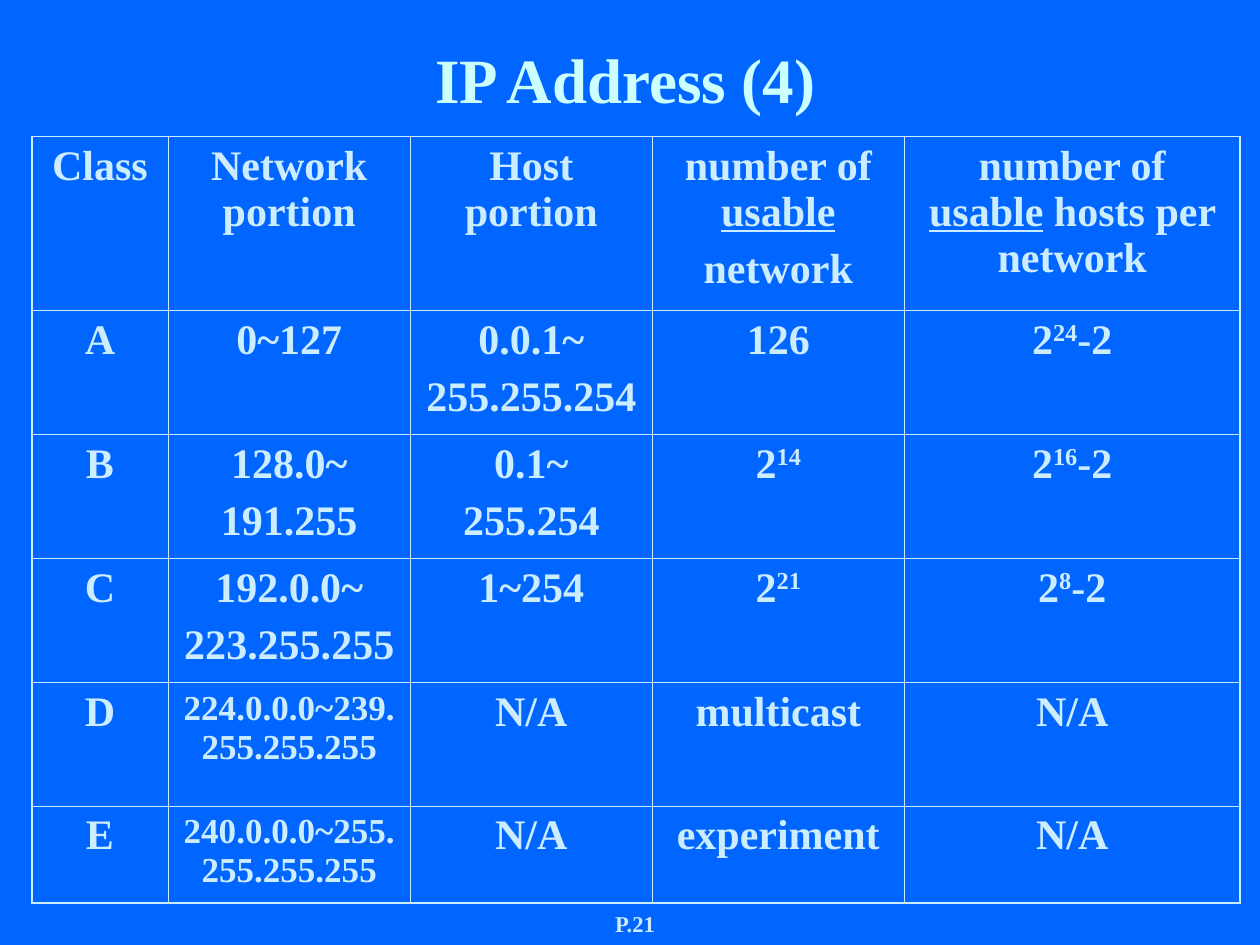
from lxml.etree import SubElement
from pptx import Presentation
from pptx.dml.color import RGBColor as Rgb
from pptx.enum.text import MSO_ANCHOR as Anchor, PP_ALIGN as Align
from pptx.oxml.ns import qn
from pptx.util import Cm, Pt

COLORS = {"background": "0066FF", "title": "CCFFFF", "text": "CCECFF"}
FONT = "Times New Roman"
INNER, OUTER = Pt(0.45), Pt(1.08)
COLUMN_WIDTHS = [2.75, 4.88, 4.88, 5.08, 6.77]
ROW_HEIGHTS = [3.51] + [2.49] * 4 + [1.95]
SMALL_COLUMN, SMALL_CLASSES = 1, ("D", "E")

# "|" parts runs, "_" underlines a run, "^" raises it
ADDRESS_CLASSES = [
    ["Class", "Network portion", "Host portion",
     "number of |_usable\nnetwork", "number of |_usable| hosts per network"],
    ["A", "0~127", "0.0.1~\n255.255.254", "126", "2|^24|-2"],
    ["B", "128.0~\n191.255", "0.1~\n255.254", "2|^14", "2|^16|-2"],
    ["C", "192.0.0~\n223.255.255", "1~254", "2|^21", "2|^8|-2"],
    ["D", "224.0.0.0~239.255.255.255", "N/A", "multicast", "N/A"],
    ["E", "240.0.0.0~255.255.255.255", "N/A", "experiment", "N/A"],
]


def write(frame, content, size, color="text", before=0):
    """Fill a text frame with centred bold paragraphs."""
    frame.word_wrap = True
    for index, line in enumerate(content.split("\n")):
        paragraph = frame.add_paragraph() if index else frame.paragraphs[0]
        paragraph.alignment = Align.CENTER
        paragraph.space_before = Pt(before)
        for part in line.split("|"):
            run = paragraph.add_run()
            run.text = part.lstrip("_^")
            style = {"name": FONT, "size": Pt(size), "bold": True}
            if part.startswith("_"):
                style["underline"] = True
            for key, value in style.items():
                setattr(run.font, key, value)
            run.font.color.rgb = Rgb.from_string(COLORS[color])
            if part.startswith("^"):
                run.font._element.set("baseline", "30000")


def add_label(slide, box, content, size, color, frame_format):
    label = slide.shapes.add_textbox(*map(Cm, box)).text_frame
    for key, value in frame_format.items():
        setattr(label, key, value)
    write(label, content, size, color)


def add_border(cell, side, width):
    line = SubElement(cell._tc.get_or_add_tcPr(), qn(f"a:ln{side}"), w=str(int(width)))
    fill = SubElement(line, qn("a:solidFill"))
    SubElement(fill, qn("a:srgbClr"), val=COLORS["text"])


def add_class_table(slide, left, top):
    last_row, last_column = len(ROW_HEIGHTS) - 1, len(COLUMN_WIDTHS) - 1
    table = slide.shapes.add_table(
        last_row + 1, last_column + 1, Cm(left), Cm(top),
        Cm(sum(COLUMN_WIDTHS)), Cm(sum(ROW_HEIGHTS))).table
    table.first_row = table.horz_banding = False
    for column, width in zip(table.columns, COLUMN_WIDTHS):
        column.width = Cm(width)
    for row, height in zip(table.rows, ROW_HEIGHTS):
        row.height = Cm(height)

    for r, entries in enumerate(ADDRESS_CLASSES):
        for c, entry in enumerate(entries):
            cell = table.cell(r, c)
            small = c == SMALL_COLUMN and entries[0] in SMALL_CLASSES
            write(cell.text_frame, entry, 20 if small else 24, before=5 if small else 6)
            # Heavier rule around the outside
            edges = {"L": c == 0, "R": c == last_column, "T": r == 0, "B": r == last_row}
            for side, outside in edges.items():
                add_border(cell, side, OUTER if outside else INNER)
            cell.fill.background()


def build_slide(deck):
    slide = deck.slides.add_slide(deck.slide_layouts[6])
    slide.background.fill.solid()
    slide.background.fill.fore_color.rgb = Rgb.from_string(COLORS["background"])

    # Page number, title, table
    add_label(slide, (10.16, 18.21, 5.28, 0.84), "P.21", 12.9, "text",
              {"vertical_anchor": Anchor.TOP})
    add_label(slide, (0.64, 0.64, 23.93, 1.7), "IP Address (4)", 36, "title",
              {"vertical_anchor": Anchor.BOTTOM, "margin_top": 0, "margin_bottom": 0})
    add_class_table(slide, 0.64, 2.75)


deck = Presentation()
deck.slide_width, deck.slide_height = Cm(25.4), Cm(19.05)
build_slide(deck)
deck.save("out.pptx")
